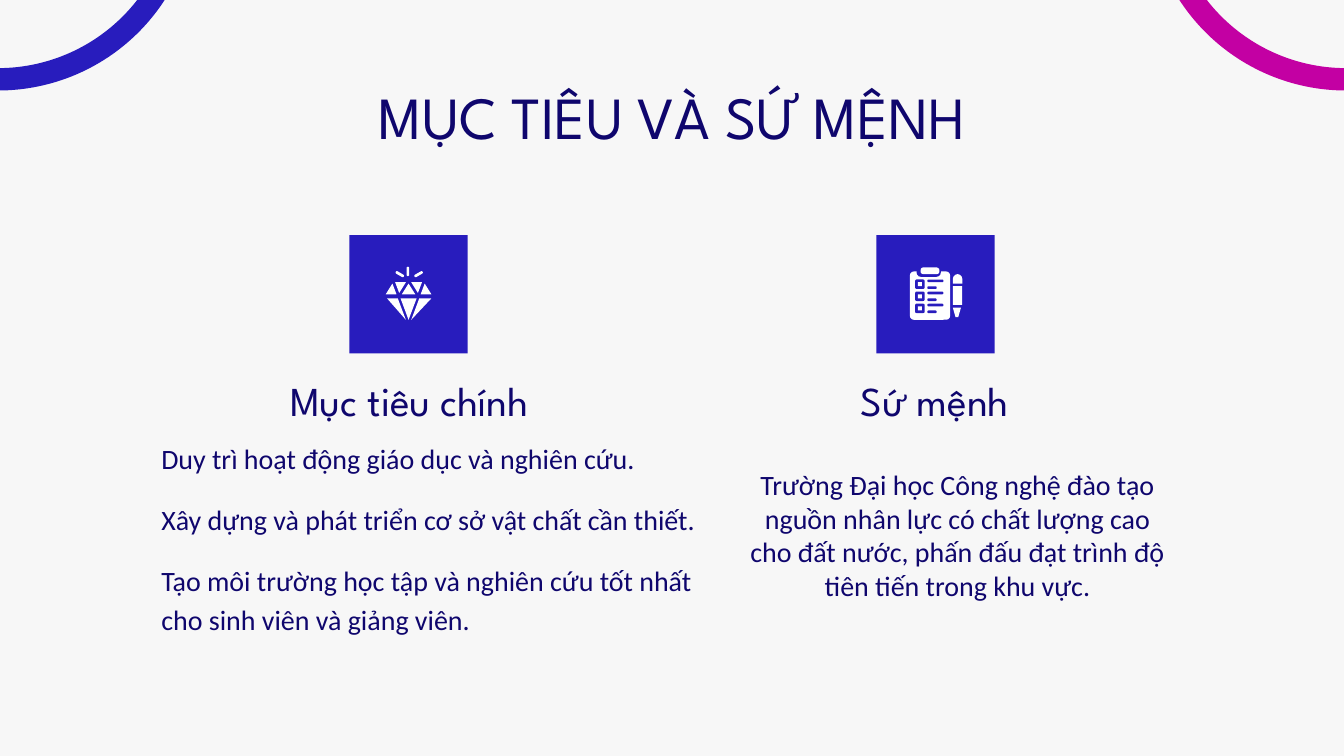
from pptx import Presentation
from pptx.dml.color import RGBColor
from pptx.enum.shapes import MSO_SHAPE as SHAPE
from pptx.enum.text import MSO_ANCHOR as ANCHOR, MSO_AUTO_SIZE as AUTO_SIZE, PP_ALIGN as ALIGN
from pptx.oxml.ns import qn
from pptx.util import Inches, Pt
from lxml.etree import SubElement

NAVY, BLUE, MAGENTA, WHITE, PAPER = "0F066D", "281CBD", "C300A3", "FFFFFF", "F7F7F7"
HEAD_FONT, BODY_FONT = "League Spartan", "Calibri"

GOALS = [
    "Duy trì hoạt động giáo dục và nghiên cứu.",
    "Xây dựng và phát triển cơ sở vật chất cần thiết.",
    "Tạo môi trường học tập và nghiên cứu tốt nhất cho sinh viên và giảng viên.",
]
MISSION = [
    "Trường Đại học Công nghệ đào tạo nguồn nhân lực có chất lượng cao "
    "cho đất nước, phấn đấu đạt trình độ tiên tiến trong khu vực."
]

# Facets of the diamond: crown, then pavilion
FACETS = [
    [(2.94, 2.1), (2.97, 2.18), (3.02, 2.1)],
    [(3.06, 2.1), (3.11, 2.18), (3.14, 2.1)],
    [(2.92, 2.11), (2.87, 2.19), (2.95, 2.19)],
    [(3.04, 2.11), (2.99, 2.19), (3.09, 2.19)],
    [(3.16, 2.11), (3.13, 2.19), (3.21, 2.19)],
    [(2.88, 2.22), (3.02, 2.38), (2.96, 2.22)],
    [(2.98, 2.22), (3.04, 2.38), (3.1, 2.22)],
    [(3.12, 2.22), (3.06, 2.38), (3.21, 2.22)],
]


def rgb(color):
    return RGBColor.from_string(color)


def paint(sp, color):
    sp.shadow.inherit = False
    sp.fill.solid()
    sp.fill.fore_color.rgb = rgb(color)
    sp.line.fill.background()


def add_block(shapes, kind, x, y, w, h, color=WHITE, rotation=0, radius=None):
    sp = shapes.add_shape(kind, Inches(x), Inches(y), Inches(w), Inches(h))
    paint(sp, color)
    sp.rotation = rotation
    if radius is not None:
        sp.adjustments[0] = radius


def add_polygon(shapes, points, color=WHITE):
    start, *rest = [(Inches(x), Inches(y)) for x, y in points]
    builder = shapes.build_freeform(*start)
    builder.add_line_segments(rest, close=True)
    paint(builder.convert_to_shape(), color)


def add_ring(shapes, x, color):
    sp = shapes.add_shape(SHAPE.OVAL, Inches(x), Inches(-2.2), Inches(2.79), Inches(2.79))
    sp.shadow.inherit = False
    sp.fill.background()
    sp.line.color.rgb = rgb(color)
    sp.line.width = Pt(12)


def fill_text(sp, lines, x, y, w, h, size=15, font=BODY_FONT, align=ALIGN.CENTER,
              anchor=ANCHOR.TOP, spacing=1.0, gap=0):
    """Place a placeholder and write unbulleted paragraphs, with gap points between them."""
    sp.left, sp.top, sp.width, sp.height = (Inches(v) for v in (x, y, w, h))
    tf = sp.text_frame
    tf.word_wrap = True
    tf.auto_size = AUTO_SIZE.NONE
    tf.vertical_anchor = anchor
    tf.margin_left = tf.margin_right = tf.margin_top = tf.margin_bottom = Inches(0.1)
    for i, line in enumerate(lines):
        p = tf.paragraphs[0] if i == 0 else tf.add_paragraph()
        p.alignment = align
        p.line_spacing = spacing
        p.space_before = Pt(gap if i else 0)
        p.space_after = Pt(0)
        pPr = p._p.get_or_add_pPr()
        pPr.set("marL", "0")
        pPr.set("indent", "0")
        SubElement(pPr, qn("a:buNone"))
        r = p.add_run()
        r.text = line
        r.font.name, r.font.size, r.font.bold = font, Pt(size), False
        r.font.color.rgb = rgb(NAVY)


def add_diamond(shapes):
    icon = shapes.add_group_shape().shapes
    for points in FACETS:
        add_polygon(icon, points)
    for x, y, angle in [(2.94, 2.03, 30), (3.0, 2.01, 90), (3.08, 2.03, -30)]:
        add_block(icon, SHAPE.ROUNDED_RECTANGLE, x, y, 0.07, 0.02, rotation=angle, radius=0.5)


def add_checklist(shapes):
    icon = shapes.add_group_shape().shapes
    rounded = SHAPE.ROUNDED_RECTANGLE
    add_block(icon, rounded, 6.77, 2.02, 0.3, 0.36, radius=0.1)
    add_block(icon, rounded, 6.82, 1.98, 0.18, 0.08, BLUE, radius=0.4)
    add_block(icon, rounded, 6.85, 1.99, 0.14, 0.05, radius=0.4)
    for row in range(3):
        y = 2.08 + 0.09 * row
        add_block(icon, rounded, 6.81, y, 0.07, 0.07, BLUE, radius=0.15)
        add_block(icon, SHAPE.RECTANGLE, 6.83, y + 0.02, 0.03, 0.03)
        add_block(icon, rounded, 6.9, y, 0.12, 0.02, BLUE, radius=0.5)
        add_block(icon, rounded, 6.9, y + 0.05, 0.07, 0.02, BLUE, radius=0.5)
    add_block(icon, SHAPE.ROUND_2_SAME_RECTANGLE, 7.09, 2.04, 0.07, 0.07, radius=0.5)
    add_block(icon, SHAPE.RECTANGLE, 7.09, 2.13, 0.07, 0.14)
    add_polygon(icon, [(7.09, 2.29), (7.11, 2.36), (7.13, 2.36), (7.15, 2.29)])


def main():
    prs = Presentation()
    prs.slide_width = Inches(10)
    prs.slide_height = Inches(10 * 9 / 16)
    s = prs.slides.add_slide(prs.slide_layouts.get_by_name("Comparison"))
    s.background.fill.solid()
    s.background.fill.fore_color.rgb = rgb(PAPER)

    add_ring(s.shapes, -1.41, BLUE)
    add_ring(s.shapes, 8.62, MAGENTA)

    title, goal_head, goal_body, mission_head, mission_body = s.placeholders
    fill_text(title, ["MỤC TIÊU VÀ SỨ MỆNH"], 0.79, 0.49, 8.43, 0.63, size=32, font=HEAD_FONT)
    for sp, text, x in [(goal_head, "Mục tiêu chính", 1.38), (mission_head, "Sứ mệnh", 5.29)]:
        fill_text(sp, [text], x, 2.73, 3.33, 0.53, size=22, font=HEAD_FONT, anchor=ANCHOR.BOTTOM)
    fill_text(goal_body, GOALS, 1.1, 3.15, 4.19, 2.05, align=ALIGN.LEFT, spacing=1.15, gap=12)
    fill_text(mission_body, MISSION, 5.46, 3.38, 3.33, 1.46)

    for x in (2.6, 6.52):
        add_block(s.shapes, SHAPE.RECTANGLE, x, 1.75, 0.88, 0.88, BLUE)
    add_diamond(s.shapes)
    add_checklist(s.shapes)
    prs.save("out.pptx")


if __name__ == "__main__":
    main()
